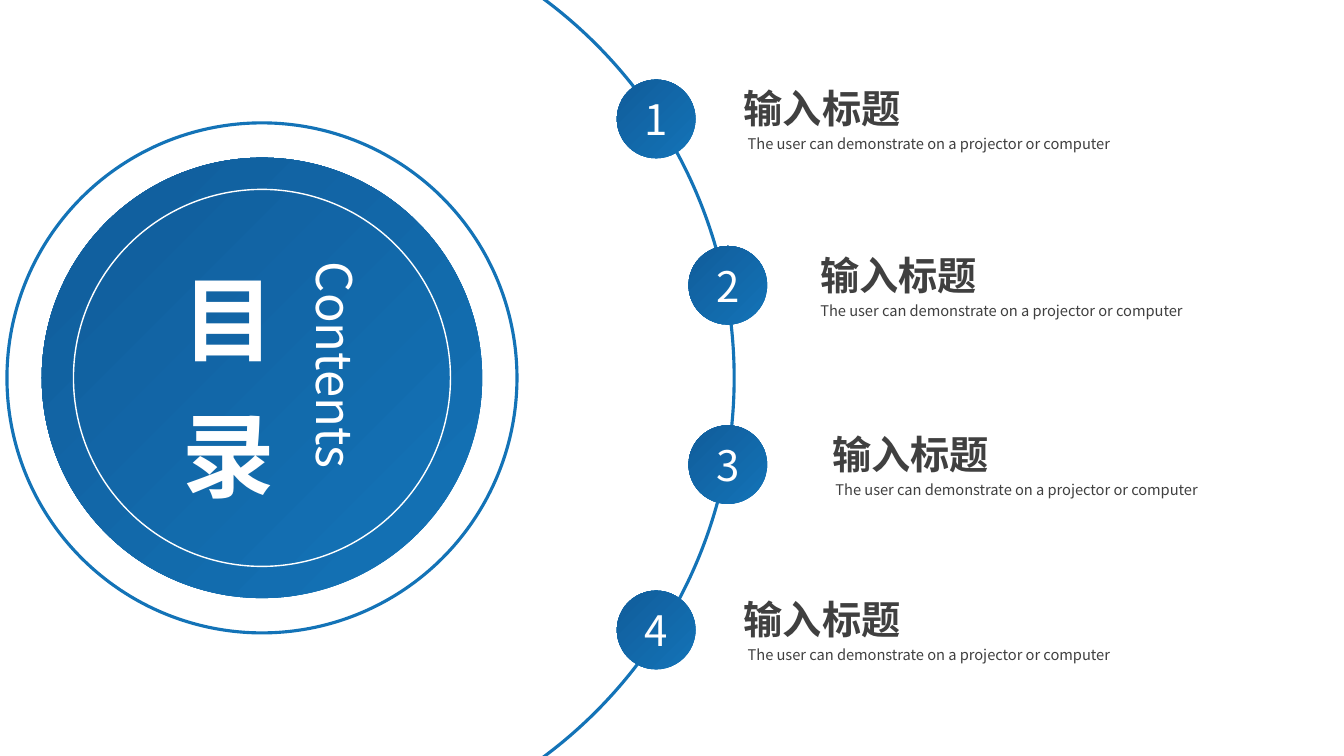
from lxml import etree
from pptx import Presentation
from pptx.dml.color import RGBColor as RGB
from pptx.enum.shapes import MSO_SHAPE as Kind
from pptx.enum.text import MSO_ANCHOR as Anchor, MSO_AUTO_SIZE as Auto, PP_ALIGN as Align
from pptx.oxml.ns import qn
from pptx.util import Pt

FACE = "Noto Sans CJK SC"
HUES = {"light": "1373B7", "dark": "115D9B", "white": "FFFFFF", "ink": "404040"}
TITLE = "输入标题"
NOTE = "The user can demonstrate on a projector or computer"
ITEMS = [
    (440.6, 56.9, 83.6, 86.4),
    (491.8, 175.7, 87.1, 87.1),
    (491.8, 303.8, 95.7, 97.9),
    (440.6, 421.9, 83.6, 86.4),
]


def hue(name):
    return RGB.from_string(HUES[name])


def disc(slide, mid, size, fill=False, edge=None, width=1):
    x, y = mid
    shape = slide.shapes.add_shape(
        Kind.OVAL, Pt(x - size / 2), Pt(y - size / 2), Pt(size), Pt(size))
    shape.shadow.inherit = False
    if fill:
        shape.fill.gradient()
        shape.fill.gradient_angle = 135
        for stop, name in zip(shape.fill.gradient_stops, ("light", "dark")):
            stop.color.rgb = hue(name)
    else:
        shape.fill.background()
    if edge:
        shape.line.color.rgb = hue(edge)
        shape.line.width = Pt(width)
    else:
        shape.line.fill.background()
    return shape


def write(shape, text, size, color, bold=False, align=Align.LEFT):
    para = shape.text_frame.paragraphs[0]
    para.text = text
    para.alignment = align
    font = para.font
    font.size, font.bold, font.name = Pt(size), bold, FACE
    font.color.rgb = hue(color)
    etree.SubElement(font._rPr, qn("a:ea")).set("typeface", FACE)
    return font


def label(slide, box, text, size, color, bold=False, align=Align.LEFT,
          wrap=True, upright=False, gap=0):
    shape = slide.shapes.add_textbox(*map(Pt, box))
    frame = shape.text_frame
    frame.word_wrap = wrap
    frame.auto_size = Auto.SHAPE_TO_FIT_TEXT
    if upright:
        frame._txBody.bodyPr.set("vert", "eaVert")
    font = write(shape, text, size, color, bold, align)
    if gap:
        font._rPr.set("spc", str(gap * 100))


def cover(slide, x, y, size):
    mid = x + size / 2, y + size / 2
    disc(slide, mid, size, edge="light", width=2.25)
    disc(slide, mid, 314.6, fill=True)
    disc(slide, mid, 269.3, fill=True, edge="white")
    disc(slide, mid, 674.6, edge="light", width=2.25)
    label(slide, (x + 105, y + 100, 94.3, 165), "目 录", 66, "white", bold=True,
          align=Align.CENTER, wrap=False, upright=True, gap=8)
    label(slide, (x + 202.4, y + 92.2, 56.9, 180), "Contents", 35, "white",
          align=Align.JUSTIFY, upright=True)


def entry(slide, num, x, y, head, sub):
    size = 56.2
    dot = disc(slide, (x + size / 2, y + size / 2), size, fill=True)
    dot.text_frame.vertical_anchor = Anchor.MIDDLE
    write(dot, str(num), 30, "white", align=Align.CENTER)
    label(slide, (x + head, y, 298, 41), TITLE, 28, "ink", bold=True)
    label(slide, (x + sub, y + 36, 368, 20.2), NOTE, 10.5, "ink")


def main():
    deck = Presentation()
    deck.slide_width, deck.slide_height = Pt(960), Pt(540)
    slide = deck.slides.add_slide(deck.slide_layouts[6])
    cover(slide, 5, 87.8, 364.3)
    for num, place in enumerate(ITEMS, 1):
        entry(slide, num, *place)
    deck.save("out.pptx")


if __name__ == "__main__":
    main()
